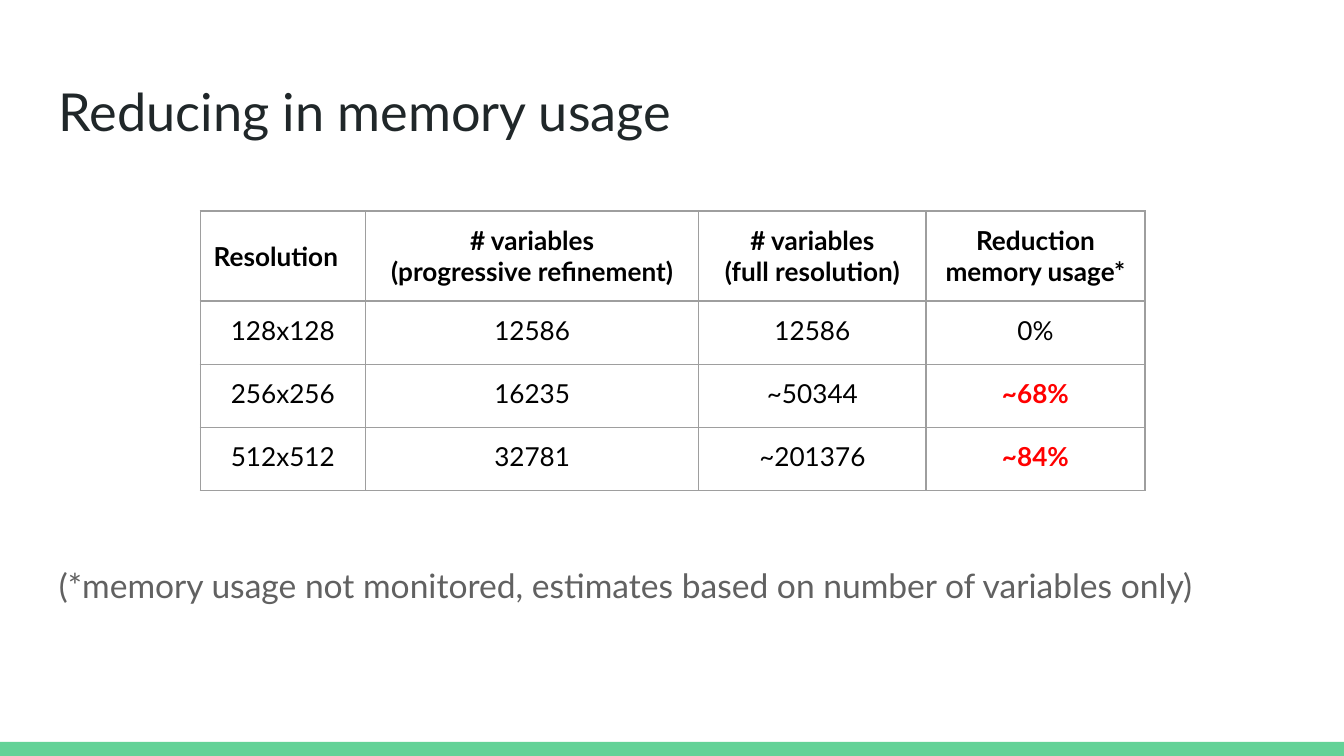
import pptx
import pptx.util
import pptx.dml.color
import pptx.enum.shapes
import pptx.enum.text
import pptx.oxml
import pptx.oxml.ns

Inches = pptx.util.Inches
Align = pptx.enum.text.PP_ALIGN
Anchor = pptx.enum.text.MSO_ANCHOR
hues = {"bar": "63D297", "title": "202729", "note": "616161",
        "line": "9E9E9E", "text": "000000", "gain": "FF0000"}


def style(para, size, hue, bold=False):
    para.font.name = "Lato"
    para.font.size = pptx.util.Pt(size)
    para.font.bold = bold
    para.font.color.rgb = pptx.dml.color.RGBColor.from_string(hues[hue])


def border(cell):
    props = cell._tc.get_or_add_tcPr()
    for n, side in enumerate(("lnL", "lnR", "lnT", "lnB")):
        props.insert(n, pptx.oxml.parse_xml(
            f'<a:{side} {pptx.oxml.ns.nsdecls("a")} w="9525"><a:solidFill>'
            f'<a:srgbClr val="{hues["line"]}"/></a:solidFill></a:{side}>'))


deck = pptx.Presentation()
deck.slide_width = Inches(10)
deck.slide_height = Inches(10) * 9 // 16
slide = deck.slides.add_slide(deck.slide_layouts[6])

bar = slide.shapes.add_shape(pptx.enum.shapes.MSO_SHAPE.RECTANGLE,
                             Inches(0), Inches(5.52), Inches(10), Inches(0.11))
bar.shadow.inherit = False
bar.fill.solid()
bar.fill.fore_color.rgb = pptx.dml.color.RGBColor.from_string(hues["bar"])
bar.line.fill.background()

texts = [
    ("Reducing in memory usage", 0.49, 0.63, 28, "title"),
    ("(*memory usage not monitored, estimates based on number of variables only)",
     4.1, 0.5, 18, "note"),
]
for words, top, height, size, hue in texts:
    box = slide.shapes.add_textbox(Inches(0.34), Inches(top), Inches(9.32), Inches(height))
    frame = box.text_frame
    frame.word_wrap = True
    frame.margin_left = frame.margin_right = Inches(0.1)
    frame.margin_top = frame.margin_bottom = Inches(0.1)
    frame.text = words
    style(frame.paragraphs[0], size, hue)

rows = [
    ["Resolution", "# variables\n(progressive refinement)",
     "# variables\n(full resolution)", "Reduction memory usage*"],
    ["128x128", "12586", "12586", "0%"],
    ["256x256", "16235", "~50344", "~68%"],
    ["512x512", "32781", "~201376", "~84%"],
]
widths = [1.23, 2.48, 1.69, 1.63]
heights = [0.67, 0.47, 0.47, 0.47]
table = slide.shapes.add_table(len(rows), len(widths), Inches(1.49), Inches(1.57),
                               Inches(sum(widths)), Inches(sum(heights))).table
table.first_row = False
table.horz_banding = False
for col, width in zip(table.columns, widths):
    col.width = Inches(width)
for row, height in zip(table.rows, heights):
    row.height = Inches(height)

for r, row in enumerate(rows):
    for c, words in enumerate(row):
        cell = table.cell(r, c)
        cell.text = words
        cell.fill.background()
        cell.margin_left = cell.margin_right = Inches(0.1)
        cell.margin_top = cell.margin_bottom = Inches(0.1)
        cell.vertical_anchor = Anchor.MIDDLE if r == 0 else Anchor.TOP
        border(cell)
        gain = r > 1 and c == 3
        for para in cell.text_frame.paragraphs:
            para.alignment = Align.LEFT if r == c == 0 else Align.CENTER
            style(para, 14, "gain" if gain else "text", r == 0 or gain)

deck.save("out.pptx")
